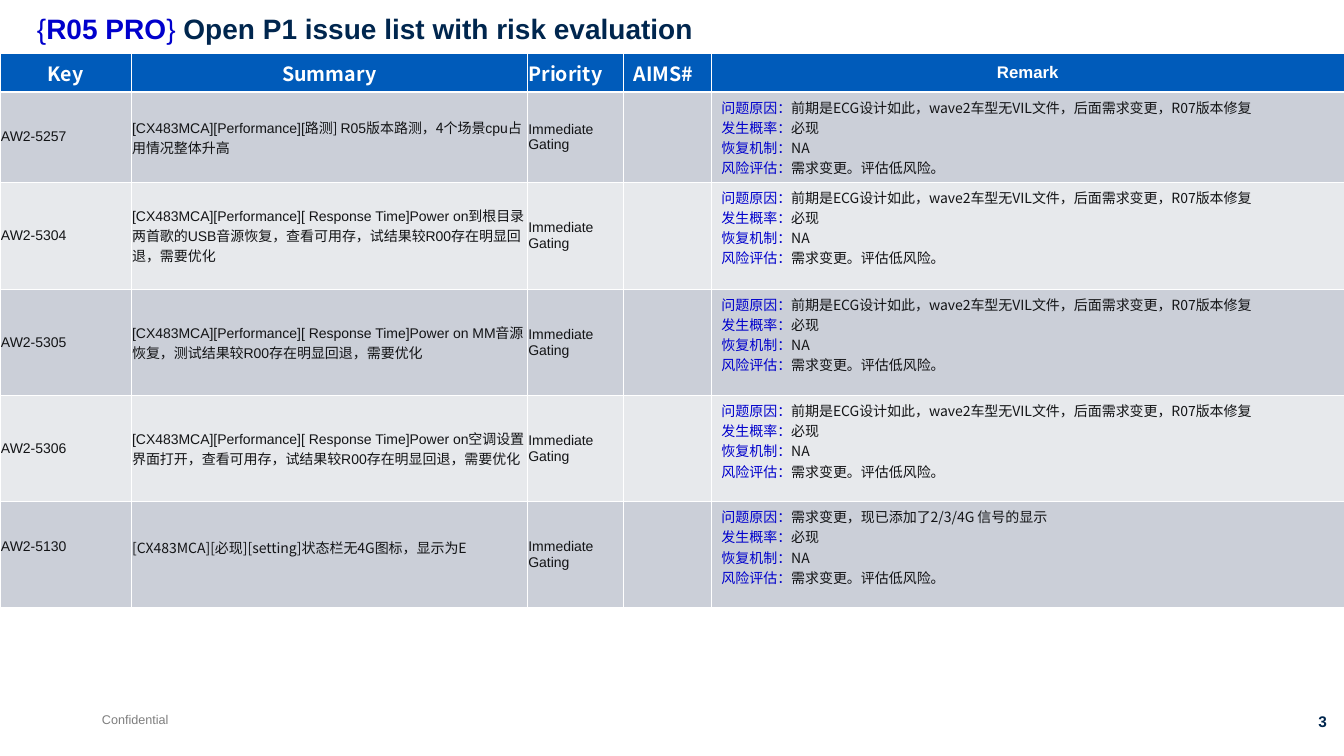
from lxml.etree import SubElement
from pptx import Presentation
from pptx.dml.color import RGBColor
from pptx.enum.text import MSO_ANCHOR, PP_ALIGN
from pptx.oxml.ns import qn
from pptx.util import Pt

PX = 9080  # EMU per px
LATIN, CJK = "Arial", "Noto Sans CJK SC"
NAVY, BLUE, INK, WHITE, GREY = "00264E", "0000CC", "131416", "FFFFFF", "7F7F7F"
HEADER_FILL, BANDS = "005BBA", ("CBCFD8", "E7E9EC")
THIN, THICK = 0.45, 1.47


def rgb(value):
    return RGBColor.from_string(value)


class IssueSlide:
    """Style and drawing methods for the current slide."""

    def __init__(self, deck):
        self.slide = deck.slides.add_slide(deck.slide_layouts[6])

    def fill_paragraph(self, paragraph, runs, size, color=None, font=None, bold=None,
                       align=PP_ALIGN.LEFT):
        """Each run is (text, style); style may hold font, color and bold."""
        paragraph.alignment = align
        self.style(paragraph.font, font, color, bold)
        paragraph.font.size = Pt(size)
        for text, style in runs:
            run = paragraph.add_run()
            run.text = text
            self.style(run.font, **style)
            if CJK in (font, style.get("font")):
                SubElement(run._r.get_or_add_rPr(), qn("a:ea"), typeface=CJK)

    def style(self, target, font=None, color=None, bold=None):
        if font:
            target.name = font
        if color:
            target.color.rgb = rgb(color)
        if bold is not None:
            target.bold = bold

    def text(self, left, top, width, height, runs, size, wrap=True, spacing=1.0, **style):
        box = self.slide.shapes.add_textbox(*(v * PX for v in (left, top, width, height)))
        box.text_frame.word_wrap = wrap
        paragraph = box.text_frame.paragraphs[0]
        paragraph.line_spacing = spacing
        self.fill_paragraph(paragraph, runs, size, **style)

    def table(self, top, columns, rows):
        frame = self.slide.shapes.add_table(
            len(rows), len(columns), 0, top * PX, sum(columns) * PX, sum(rows) * PX)
        for column, width in zip(frame.table.columns, columns):
            column.width = width * PX
        for row, height in zip(frame.table.rows, rows):
            row.height = height * PX
        return frame.table

    def cell(self, cell, fill, paragraphs, side=1, lift=0, anchor=MSO_ANCHOR.MIDDLE,
             above=THIN, below=THIN, **style):
        cell.vertical_anchor = anchor
        cell.margin_left = cell.margin_right = side * PX
        cell.margin_top = 5 * PX
        cell.margin_bottom = (5 + lift) * PX
        borders = {"a:lnL": THIN, "a:lnR": THIN, "a:lnT": above, "a:lnB": below}
        for tag, width in borders.items():
            line = SubElement(cell._tc.get_or_add_tcPr(), qn(tag), w=str(Pt(width)))
            SubElement(SubElement(line, qn("a:solidFill")), qn("a:srgbClr"), val=WHITE)
        cell.fill.solid()
        cell.fill.fore_color.rgb = rgb(fill)
        for i, runs in enumerate(paragraphs):
            frame = cell.text_frame
            paragraph = frame.add_paragraph() if i else frame.paragraphs[0]
            self.fill_paragraph(paragraph, runs, **style)


# Header: label, side margin, alignment, size, font
HEADERS = [
    ("Key", 1, PP_ALIGN.CENTER, 14, CJK),
    ("Summary", 1, PP_ALIGN.CENTER, 14, CJK),
    ("Priority", 1, PP_ALIGN.LEFT, 14, CJK),
    ("AIMS#", 10, PP_ALIGN.LEFT, 14, CJK),
    ("Remark", 10, PP_ALIGN.CENTER, 12, LATIN),
]
REMARK_LABELS = ["问题原因：", "发生概率：", "恢复机制：", "风险评估："]
LATE_CHANGE = "前期是ECG设计如此，wave2车型无VIL文件，后面需求变更，R07版本修复"
RESPONSE = "[CX483MCA][Performance][ Response Time]Power on"
REGRESSION = "存在明显回退，需要优化"

# Issues: key, summary parts (Latin and Chinese in turn), cause, lift
ISSUES = [
    ("AW2-5257", ["[CX483MCA][Performance][", "路测] ", "R05", "版本路测，4个场景",
                  "cpu", "占用情况整体升高"], LATE_CHANGE, 0),
    ("AW2-5304", [RESPONSE, "到根目录两首歌的", "USB", "音源恢复，查看可用存，试结果较",
                  "R00", REGRESSION], LATE_CHANGE, 0),
    ("AW2-5305", [RESPONSE + " MM", "音源恢复，测试结果较", "R00", REGRESSION],
     LATE_CHANGE, 0),
    ("AW2-5306", [RESPONSE, "空调设置界面打开，查看可用存，试结果较", "R00", REGRESSION],
     LATE_CHANGE, 0),
    ("AW2-5130", ["", "[CX483MCA][必现][setting]状态栏无4G图标，显示为E"],
     "需求变更，现已添加了2/3/4G 信号的显示", 15),
]


def main():
    deck = Presentation()
    deck.slide_width, deck.slide_height = 1343 * PX, 755 * PX
    page = IssueSlide(deck)

    # Footer
    page.text(92, 706, 87, 25, [("Confidential", {})], 9, wrap=False, font=LATIN, color=GREY)
    page.text(1241, 706, 95, 29, [("3", {})], 11, font=LATIN, color=NAVY, bold=True,
              align=PP_ALIGN.RIGHT)

    # Title
    page.text(27, 10, 1193, 63, [
        ("{", {"color": BLUE}),
        ("R05 PRO", {"color": BLUE, "bold": True}),
        ("} ", {"color": BLUE}),
        ("Open P1 issue list with risk evaluation", {"color": NAVY, "bold": True}),
    ], 20, spacing=0.9, font=LATIN)

    # Issue table
    issues = page.table(53, [131, 396, 96, 88, 632], [39, 90, 107, 106, 106, 106])
    for col, (label, side, align, size, font) in enumerate(HEADERS):
        page.cell(issues.cell(0, col), HEADER_FILL, [[(label, {})]], side=side, below=THICK,
                  align=align, size=size, font=font, color=WHITE, bold=True)

    for row, (key, summary, cause, lift) in enumerate(ISSUES, 1):
        summary_runs = [(part, {"font": (LATIN, CJK)[i % 2]})
                        for i, part in enumerate(summary) if part]
        answers = [cause, "必现", "NA", "需求变更。评估低风险。"]
        remarks = [[(label, {"color": BLUE}), (answer, {"color": INK})]
                   for label, answer in zip(REMARK_LABELS, answers)]
        body = {"fill": BANDS[(row - 1) % 2], "above": THICK if row == 1 else THIN,
                "size": 10, "bold": False}
        key_cell, summary_cell, priority_cell, aims_cell, remark_cell = issues.rows[row].cells
        page.cell(key_cell, paragraphs=[[(key, {})]], lift=lift, font=LATIN, color=INK, **body)
        page.cell(summary_cell, paragraphs=[summary_runs], lift=lift, color=INK, **body)
        page.cell(priority_cell, paragraphs=[[("Immediate Gating", {})]], font=LATIN,
                  color=INK, **body)
        page.cell(aims_cell, paragraphs=[], **body)
        page.cell(remark_cell, paragraphs=remarks, side=10, anchor=MSO_ANCHOR.TOP,
                  font=CJK, **body)

    deck.save("out.pptx")


if __name__ == "__main__":
    main()
